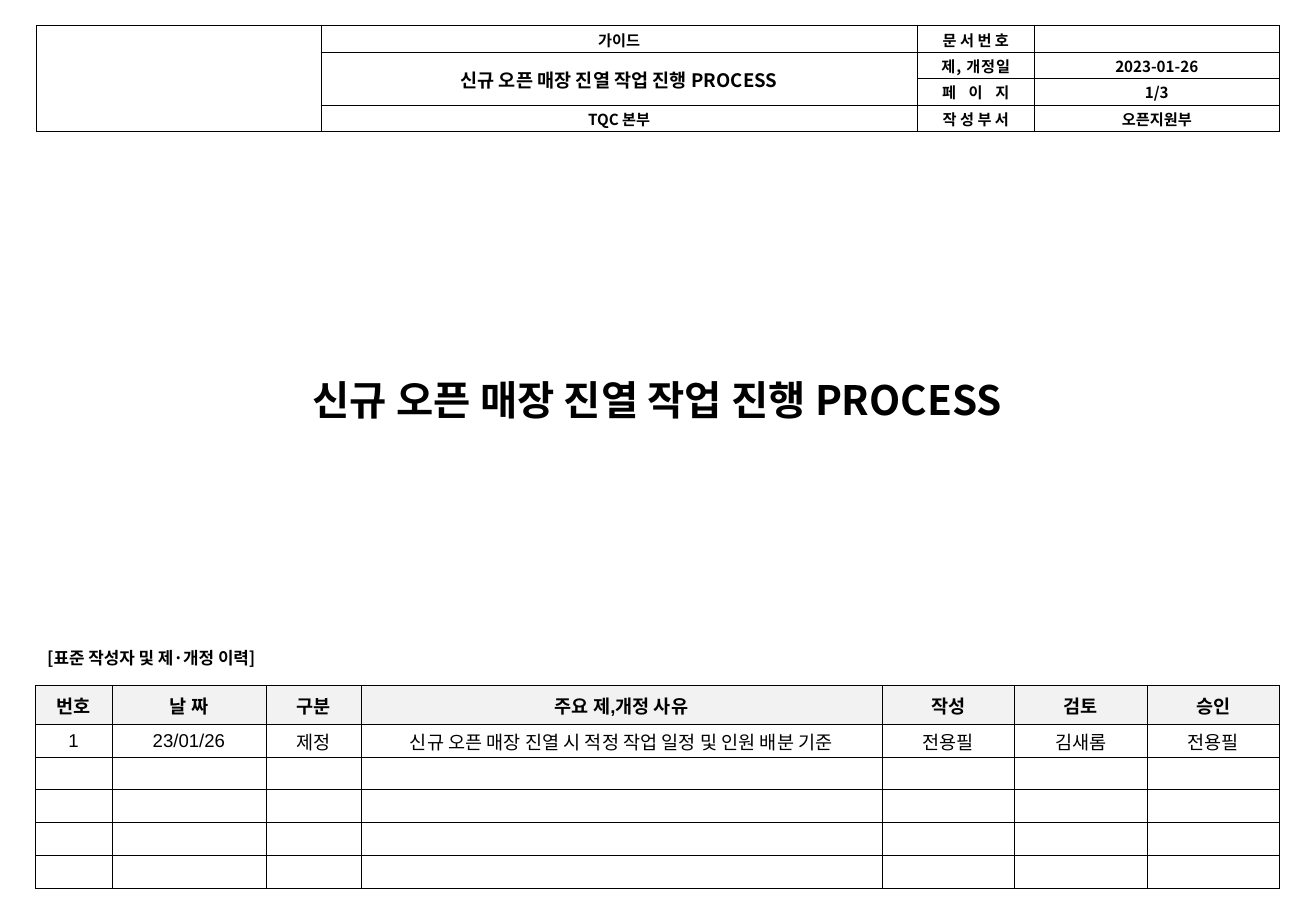
from lxml import etree
from pptx import Presentation
from pptx.dml.color import RGBColor
from pptx.enum.text import MSO_ANCHOR, PP_ALIGN
from pptx.oxml.ns import qn
from pptx.util import Inches, Pt

MID = MSO_ANCHOR.MIDDLE
TOP = MSO_ANCHOR.TOP
LEFT = PP_ALIGN.LEFT
CENTER = PP_ALIGN.CENTER
SANS = "Noto Sans CJK KR"
INK = "000000"
TITLE = "신규 오픈 매장 진열 작업 진행 PROCESS"


def style(para, size, face, bold, align):
    para.alignment = align
    for run in para.runs:
        font = run.font
        font.size, font.bold, font.name = Pt(size), bold, face
        font.color.rgb = RGBColor.from_string(INK)
        east = etree.SubElement(run._r.get_or_add_rPr(), qn("a:ea"))
        east.set("typeface", SANS)
    if not para.runs:
        end = etree.SubElement(para._p, qn("a:endParaRPr"))
        end.set("sz", str(size * 100))


def grid(left, top, cols, rows, data, size, face, edge):
    table = slide.shapes.add_table(
        len(rows), len(cols), Inches(left), Inches(top),
        Inches(sum(cols)), Inches(sum(rows))).table
    table.first_row = table.horz_banding = False
    for col, width in zip(table.columns, cols):
        col.width = Inches(width)
    for row, height in zip(table.rows, rows):
        row.height = Inches(height)
    for r, line in enumerate(data):
        for c, text in enumerate(line):
            cell = table.cell(r, c)
            cell.margin_left = cell.margin_right = Inches(0.07)
            cell.margin_top = cell.margin_bottom = 0
            cell.vertical_anchor = MID
            para = cell.text_frame.paragraphs[0]
            para.text = text
            para.line_spacing = 1.07
            style(para, size, face, True, CENTER)
            outer = {"lnL": c == 0, "lnR": c == len(cols) - 1,
                     "lnT": r == 0, "lnB": r == len(rows) - 1}
            for side, rim in outer.items():
                rule = etree.SubElement(cell._tc.get_or_add_tcPr(), qn("a:" + side))
                rule.set("w", str(Pt(edge if rim else 0.25)))
                fill = etree.SubElement(rule, qn("a:solidFill"))
                etree.SubElement(fill, qn("a:srgbClr")).set("val", INK)
            cell.fill.background()
    return table


deck = Presentation()
deck.slide_width, deck.slide_height = Inches(10.83), Inches(7.5)
slide = deck.slides.add_slide(deck.slide_layouts[6])

log = [["번호", "날 짜", "구분", "주요 제,개정 사유", "작성", "검토", "승인"],
       ["1", "23/01/26", "제정", "신규 오픈 매장 진열 시 적정 작업 일정 및 인원 배분 기준",
        "전용필", "김새롬", "전용필"]] + [[""] * 7] * 4
table = grid(0.29, 5.64, [0.63, 1.27, 0.78, 4.29] + [1.09] * 3,
             [0.32] + [0.27] * 5, log, 11, "Arial", 0.25)
for r in range(2):
    for cell in table.rows[r].cells:
        para = cell.text_frame.paragraphs[0]
        props = para._p.get_or_add_pPr()
        props.set("marL", str(Inches(0.3)))
        props.set("indent", str(Inches(-0.3)))
        if r == 0:
            cell.fill.solid()
            cell.fill.fore_color.rgb = RGBColor.from_string("F2F2F2")
        else:
            para.runs[0].font.bold = False

labels = [("[표준 작성자 및 제·개정 이력]", 0.29, 5.28, 2.08, 0.27, 10, LEFT, MID, 1),
          (TITLE, 2.2, 3.01, 6.42, 0.53, 24, CENTER, TOP, 1.07)]
for text, x, y, w, h, size, align, anchor, gap in labels:
    frame = slide.shapes.add_textbox(
        Inches(x), Inches(y), Inches(w), Inches(h)).text_frame
    frame.word_wrap = False
    frame.vertical_anchor = anchor
    para = frame.paragraphs[0]
    para.text = text
    para.line_spacing = gap
    style(para, size, SANS, True, align)

head = [["", "가이드", "문 서 번 호", ""],
        ["", TITLE, "제, 개정일", "2023-01-26"],
        ["", "", "페 이 지", "1/3"],
        ["", "TQC 본부", "작 성 부 서", "오픈지원부"]]
table = grid(0.3, 0.21, [2.34, 4.91, 0.96, 2.02], [0.87 / 4] * 4,
             head, 9, SANS, 0.5)
table.cell(0, 0).merge(table.cell(3, 0))
table.cell(1, 1).merge(table.cell(2, 1))
table.cell(1, 1).text_frame.paragraphs[0].runs[0].font.size = Pt(11)
for r, track in ((1, 50), (2, 270)):
    run = table.cell(r, 2).text_frame.paragraphs[0].runs[0]
    run._r.get_or_add_rPr().set("spc", str(track))

deck.save("out.pptx")
